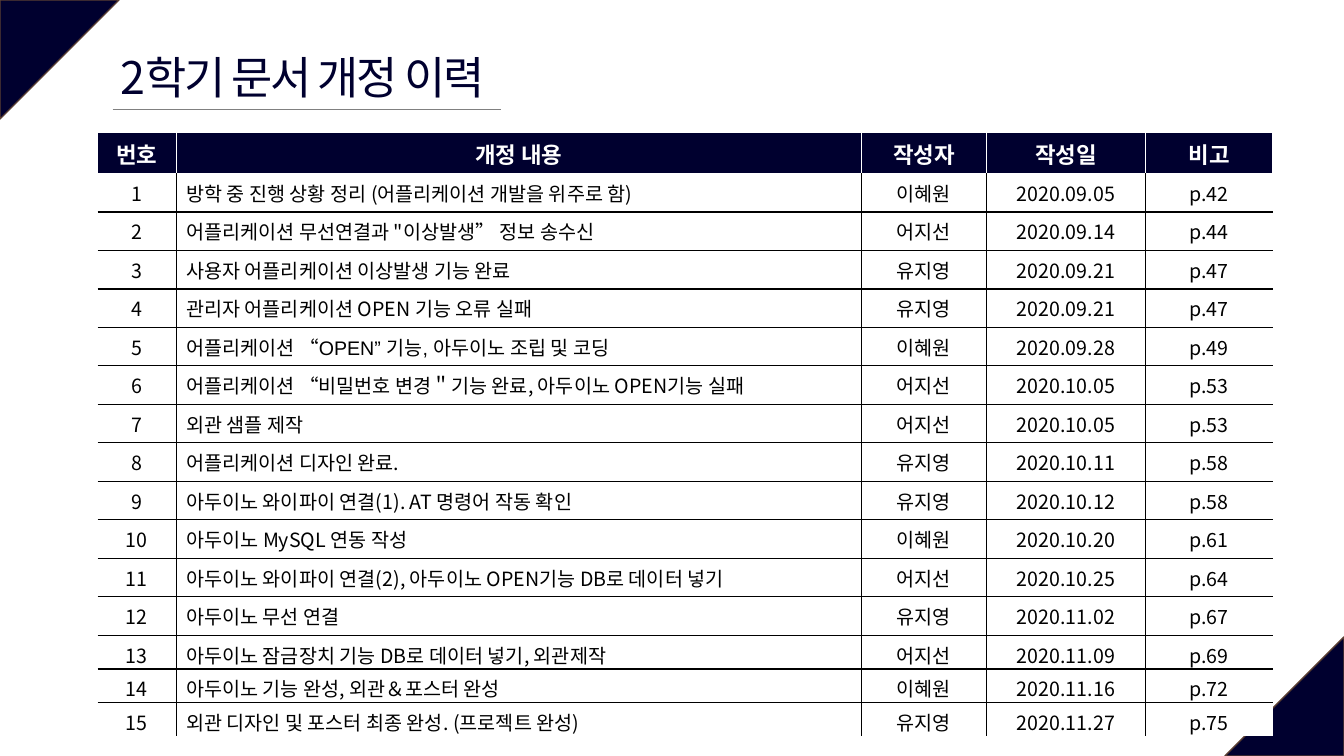
from dataclasses import dataclass

from lxml.etree import SubElement
from pptx import Presentation
from pptx.dml.color import RGBColor as Rgb
from pptx.enum.shapes import MSO_CONNECTOR as Link, MSO_SHAPE as Kind
from pptx.enum.text import MSO_ANCHOR as Anchor, MSO_AUTO_SIZE as Fit, PP_ALIGN as Align
from pptx.oxml.ns import qn
from pptx.util import Cm, Pt


@dataclass(frozen=True)
class Theme:
    font: str = "Noto Sans CJK KR"
    alt: str = "Arial"
    navy: str = "00002F"
    brown: str = "5B3F33"
    gray: str = "808080"
    white: str = "FFFFFF"
    black: str = "000000"
    title: int = 32
    head: int = 16
    body: int = 14


class Deck:
    def __init__(self, theme, slide):
        self.theme = theme
        self.slide = slide

    def text(self, para, words, size, color, bold=False, font=None, space=None):
        run = para.add_run()
        run.text = words
        run.font.size = Pt(size)
        run.font.bold = bold
        run.font.color.rgb = Rgb.from_string(color)
        run.font.name = font or self.theme.font
        props = run.font._element
        SubElement(props, qn("a:ea")).set("typeface", self.theme.font)
        if space is not None:
            props.set("spc", str(space))

    def title(self, words, left, top, width, height):
        box = self.slide.shapes.title
        box.left, box.top, box.width, box.height = map(Cm, (left, top, width, height))
        frame = box.text_frame
        frame.word_wrap = False
        frame.auto_size = Fit.SHAPE_TO_FIT_TEXT
        frame.vertical_anchor = Anchor.TOP
        para = frame.paragraphs[0]
        para.alignment = Align.CENTER
        self.text(para, words, self.theme.title, self.theme.navy, space=-150)

    def corner(self, left, top, side, turn):
        shape = self.slide.shapes.add_shape(
            Kind.ISOSCELES_TRIANGLE, Cm(left), Cm(top), Cm(side), Cm(side))
        shape.adjustments[0] = 0
        shape.rotation = turn
        shape.shadow.inherit = False
        shape.fill.solid()
        shape.fill.fore_color.rgb = Rgb.from_string(self.theme.navy)
        shape.line.color.rgb = Rgb.from_string(self.theme.brown)
        shape.line.width = Pt(1)

    def rule(self, left, right, top):
        line = self.slide.shapes.add_connector(
            Link.STRAIGHT, Cm(left), Cm(top), Cm(right), Cm(top))
        line.line.color.rgb = Rgb.from_string(self.theme.gray)
        line.line.width = Pt(0.5)
        SubElement(line._element.spPr, qn("a:effectLst"))

    def edge(self, cell, side, color):
        line = SubElement(cell._tc.get_or_add_tcPr(), qn("a:ln" + side))
        line.set("w", str(Pt(1)))
        if color:
            fill = SubElement(line, qn("a:solidFill"))
            SubElement(fill, qn("a:srgbClr")).set("val", color)
        else:
            SubElement(line, qn("a:noFill"))

    def cell(self, cell, words, edges, head, mid, font):
        theme = self.theme
        for side in "LRTB":
            self.edge(cell, side, edges.get(side))
        cell.fill.solid()
        cell.fill.fore_color.rgb = Rgb.from_string(theme.navy if head else theme.white)
        cell.vertical_anchor = Anchor.MIDDLE
        para = cell.text_frame.paragraphs[0]
        para.alignment = Align.CENTER if mid else Align.LEFT
        size, color = (theme.head, theme.white) if head else (theme.body, theme.black)
        self.text(para, words, size, color, head, font)

    def table(self, rows, left, top, height, widths, heights, plain):
        theme = self.theme
        frame = self.slide.shapes.add_table(
            len(rows), len(widths), Cm(left), Cm(top), Cm(sum(widths)), Cm(height))
        grid = frame.table
        grid.horz_banding = False
        for col, width in zip(grid.columns, widths):
            col.width = Cm(width)
        for row, size in zip(grid.rows, heights):
            row.height = Cm(size)
        frame.height = Cm(height)
        last, end = len(rows) - 1, len(widths) - 1
        for i, row in enumerate(rows):
            for j, words in enumerate(row):
                if i == 0:
                    edges = dict.fromkeys("LRT", theme.white)
                else:
                    shown = {"L": j > 0, "R": j < end, "T": i > 1, "B": i < last}
                    edges = {side: theme.black for side, on in shown.items() if on}
                font = theme.alt if j == 1 and i in plain else theme.font
                self.cell(grid.cell(i, j), words, edges, i == 0, i == 0 or j != 1, font)


HEAD = ("번호", "개정 내용", "작성자", "작성일", "비고")
LOG = [
    ("방학 중 진행 상황 정리 (어플리케이션 개발을 위주로 함)", "이혜원", "09.05", 42),
    ("어플리케이션 무선연결과 \"이상발생” 정보 송수신", "어지선", "09.14", 44),
    ("사용자 어플리케이션 이상발생 기능 완료", "유지영", "09.21", 47),
    ("관리자 어플리케이션 OPEN 기능 오류 실패", "유지영", "09.21", 47),
    ("어플리케이션 “OPEN” 기능, 아두이노 조립 및 코딩", "이혜원", "09.28", 49),
    ("어플리케이션 “비밀번호 변경＂기능 완료, 아두이노 OPEN기능 실패", "어지선", "10.05", 53),
    ("외관 샘플 제작", "어지선", "10.05", 53),
    ("어플리케이션 디자인 완료.", "유지영", "10.11", 58),
    ("아두이노 와이파이 연결(1). AT 명령어 작동 확인", "유지영", "10.12", 58),
    ("아두이노 MySQL 연동 작성", "이혜원", "10.20", 61),
    ("아두이노 와이파이 연결(2), 아두이노 OPEN기능 DB로 데이터 넣기", "어지선", "10.25", 64),
    ("아두이노 무선 연결", "유지영", "11.02", 67),
    ("아두이노 잠금장치 기능 DB로 데이터 넣기, 외관제작", "어지선", "11.09", 69),
    ("아두이노 기능 완성, 외관＆포스터 완성", "이혜원", "11.16", 72),
    ("외관 디자인 및 포스터 최종 완성. (프로젝트 완성)", "유지영", "11.27", 75),
]


def main():
    show = Presentation()
    show.slide_width, show.slide_height = Cm(33.87), Cm(19.05)
    deck = Deck(Theme(), show.slides.add_slide(show.slide_layouts[5]))
    side = 3
    deck.corner(0, 0, side, 90)
    deck.corner(33.87 - side, 19.05 - side, side, 270)
    deck.title("2학기 문서 개정 이력", 2.24, 1.12, 10.77, 1.63)
    deck.rule(2.84, 12.62, 2.75)
    rows = [HEAD] + [
        (str(num), words, name, f"2020.{day}", f"p.{page}")
        for num, (words, name, day, page) in enumerate(LOG, 1)]
    deck.table(rows, 2.46, 3.33, 15.21, (1.98, 17.27, 3.15, 4.01, 3.2),
               [1.04] + [0.97] * 12 + [0.48] * 3, plain=(3, 5))
    show.save("out.pptx")


if __name__ == "__main__":
    main()
